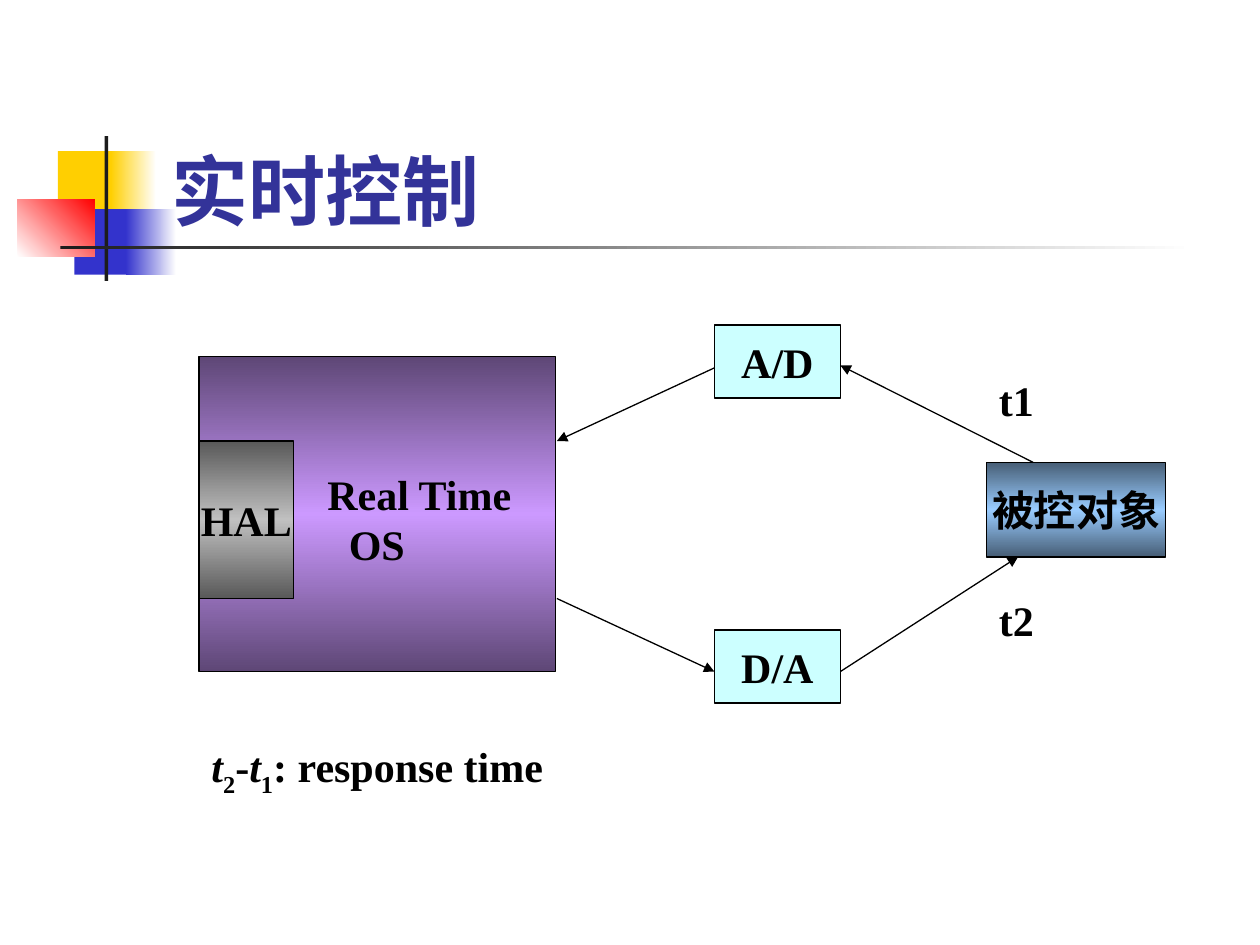
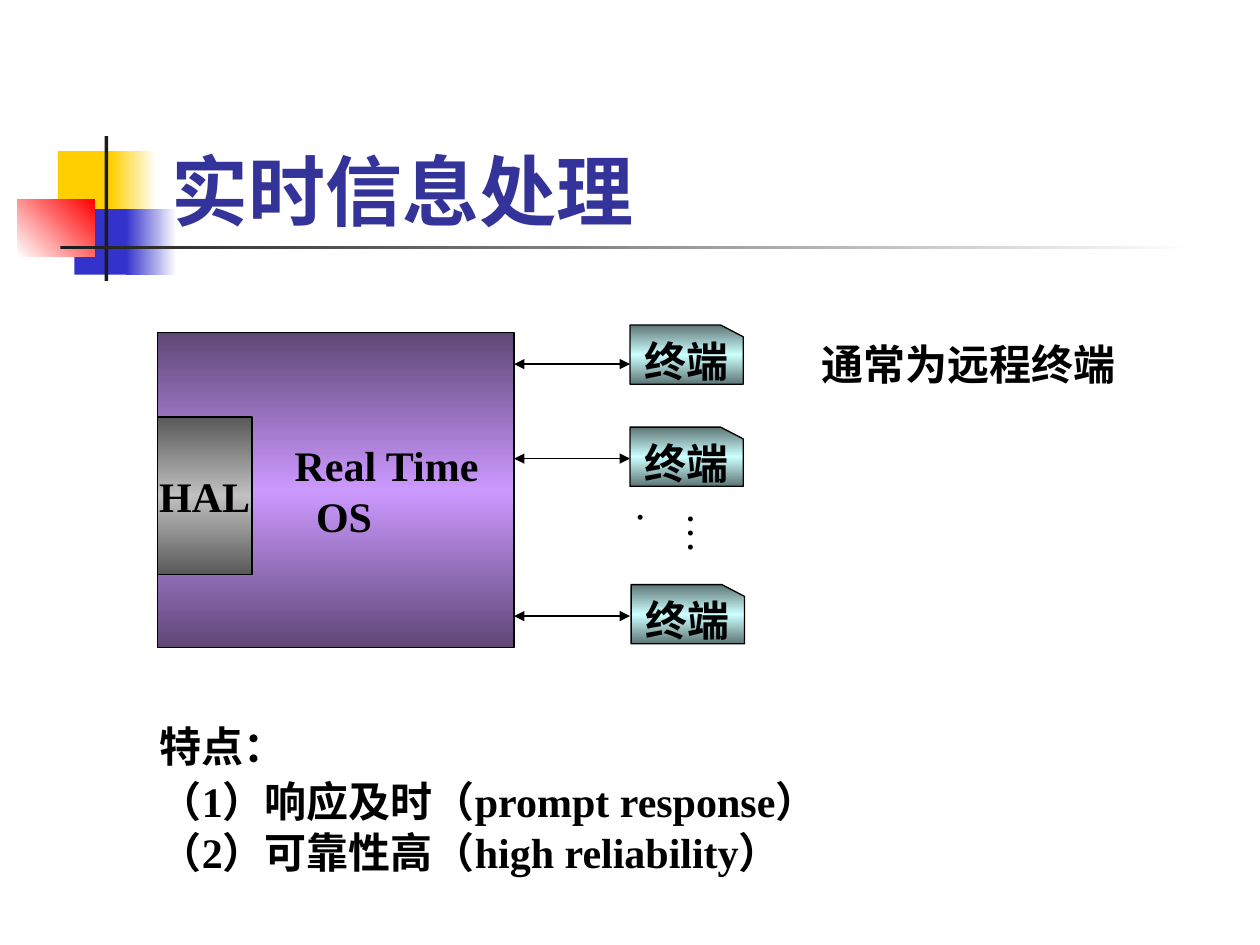
import pptx
import pptx.util
from pptx.dml.color import RGBColor
from pptx.enum.dml import MSO_FILL
from pptx.enum.shapes import MSO_CONNECTOR, MSO_SHAPE
from pptx.enum.text import MSO_ANCHOR, MSO_AUTO_SIZE, PP_ALIGN
from pptx.oxml.ns import qn
from pptx.util import Inches
from lxml import etree

BLACK = RGBColor(0x00, 0x00, 0x00)
WHITE = RGBColor(0xFF, 0xFF, 0xFF)
INK = RGBColor(0x1C, 0x1C, 0x1C)
GOLD = RGBColor(0xFF, 0xCF, 0x01)
BLUE = RGBColor(0x33, 0x33, 0xCC)
RED = RGBColor(0xFF, 0x00, 0x00)
NAVY = RGBColor(0x33, 0x33, 0x99)
CYAN = RGBColor(0xCC, 0xFF, 0xFF)
TEAL = RGBColor(0x5E, 0x76, 0x76)
PLUM = RGBColor(0x5E, 0x47, 0x76)
LILAC = RGBColor(0xCC, 0x99, 0xFF)
GREY = RGBColor(0x59, 0x59, 0x59)
SILVER = RGBColor(0xC0, 0xC0, 0xC0)
SLATE = RGBColor(0x47, 0x5E, 0x76)
SKY = RGBColor(0x99, 0xCC, 0xFF)

SERIF = "Times New Roman"
SANS = "Roboto"


def place(*sizes):
    return [Inches(size) for size in sizes]


def paint(shape, colors, angle):
    """Fill with one colour, or with evenly spaced gradient stops."""
    fill = shape.fill
    if len(colors) == 1:
        fill.solid()
        fill.fore_color.rgb = colors[0]
        return
    fill.gradient()
    fill.gradient_angle = -angle % 360
    stops = shape._element.spPr.find(".//" + qn("a:gsLst"))
    for stop in list(stops):
        stops.remove(stop)
    for i, color in enumerate(colors):
        stop = etree.SubElement(stops, qn("a:gs"))
        stop.set("pos", str(100000 * i // (len(colors) - 1)))
        etree.SubElement(stop, qn("a:srgbClr")).set("val", str(color))


def block(slide, at, colors, angle=0, kind=MSO_SHAPE.RECTANGLE):
    shape = slide.shapes.add_shape(kind, *place(*at))
    shape.shadow.inherit = False
    paint(shape, colors, angle)
    shape.line.fill.background()
    return shape


def write(para, text, size=24, font=SERIF, color=BLACK, bold=True,
          italic=False, sub=False):
    run = para.add_run()
    run.text = text
    run.font.size = pptx.util.Pt(size)
    run.font.name = font
    run.font.color.rgb = color
    run.font.bold = bold
    run.font.italic = italic
    if sub:
        run.font._element.set("baseline", "-25000")


def node(slide, at, colors, label="", kind=MSO_SHAPE.RECTANGLE):
    """Outlined box of the diagram with a centred label."""
    shape = block(slide, at, colors, 90, kind)
    shape.line.color.rgb = BLACK
    shape.line.width = pptx.util.Pt(0.75)
    if label:
        frame = shape.text_frame
        frame.word_wrap = False
        frame.vertical_anchor = MSO_ANCHOR.MIDDLE
        frame.paragraphs[0].alignment = PP_ALIGN.CENTER
        write(frame.paragraphs[0], label)
    return shape


def label(slide, at, text="", **style):
    """Text box that wraps; returns its frame."""
    frame = slide.shapes.add_textbox(*place(*at)).text_frame
    frame.word_wrap = True
    if text:
        write(frame.paragraphs[0], text, **style)
    return frame


def arrow(slide, start, end, both=False):
    line = slide.shapes.add_connector(
        MSO_CONNECTOR.STRAIGHT, *place(*start, *end))
    line.line.color.rgb = BLACK
    line.line.width = pptx.util.Pt(0.75)
    stroke = line.line._get_or_add_ln()
    for tag in ("a:headEnd", "a:tailEnd") if both else ("a:tailEnd",):
        etree.SubElement(stroke, qn(tag)).set("type", "triangle")
    etree.SubElement(line._element.spPr, qn("a:effectLst"))


def start(deck, title):
    """New slide with the shared ornament and title."""
    slide = deck.slides.add_slide(deck.slide_layouts[6])
    block(slide, (0.46, 1.2, 0.48, 0.52), [GOLD])
    block(slide, (0.88, 1.2, 0.36, 0.52), [GOLD, WHITE])
    block(slide, (0.59, 1.66, 0.46, 0.52), [BLUE])
    block(slide, (1, 1.66, 0.4, 0.52), [BLUE, WHITE])
    block(slide, (0.14, 1.58, 0.61, 0.46), [WHITE, RED], 315)
    block(slide, (0.83, 1.08, 0.03, 1.15), [INK])
    block(slide, (0.48, 1.95, 9, 0.03), [INK, WHITE])
    frame = label(slide, (1.26, 0.67, 8.52, 1.25), title,
                  size=44, font=SANS, color=NAVY)
    frame.vertical_anchor = MSO_ANCHOR.BOTTOM
    return slide


def system(slide, left, top, name):
    """Real-time OS with its HAL; name is the corner of the caption."""
    node(slide, (left, top, 2.83, 2.5), [PLUM, LILAC, PLUM])
    node(slide, (left, top + 0.67, 0.75, 1.25), [GREY, SILVER, GREY], "HAL")
    frame = label(slide, (*name, 1.83, 0.9), "Real Time")
    para = frame.add_paragraph()
    para._p.get_or_add_pPr().set("marL", str(Inches(0.17)))
    write(para, "OS")


def control(deck):
    slide = start(deck, "实时控制")
    system(slide, 1.58, 2.83, (2.5, 3.67))
    node(slide, (7.83, 3.67, 1.42, 0.75), [SLATE, SKY, SLATE], "被控对象")
    for top, text in ((2.58, "A/D"), (5, "D/A")):
        node(slide, (5.67, top, 1, 0.58), [CYAN], text)
    arrow(slide, (8.2, 3.67), (6.67, 2.9))
    arrow(slide, (6.67, 5.33), (8.08, 4.42))
    arrow(slide, (5.67, 2.92), (4.42, 3.5))
    arrow(slide, (4.42, 4.75), (5.67, 5.33))
    for top, text in ((2.92, "t1"), (4.67, "t2")):
        label(slide, (7.83, top, 0.58, 0.5), text)
    para = label(slide, (1.58, 5.83, 7.92, 0.56)).paragraphs[0]
    write(para, "t", italic=True)
    write(para, "2", sub=True)
    write(para, "-")
    write(para, "t", italic=True)
    write(para, "1", sub=True)
    write(para, ": response time")


def process(deck):
    slide = start(deck, "实时信息处理")
    system(slide, 1.25, 2.64, (2.24, 3.44))
    for row in (2.89, 3.64, 4.89):
        arrow(slide, (4.08, row), (5, row), both=True)

    dots = label(slide, (5.25, 3.97, 0.6, 0.58), "….", bold=False)
    dots.margin_left = dots.margin_right = Inches(0.05)
    dots.margin_top = dots.margin_bottom = Inches(0.1)
    dots.auto_size = MSO_AUTO_SIZE.SHAPE_TO_FIT_TEXT
    dots._txBody.bodyPr.set("vert", "eaVert")

    for left, top in ((5, 2.58), (5, 3.39), (5.01, 4.64)):
        card = node(slide, (left, top, 0.9, 0.47), [TEAL, CYAN, TEAL],
                    "终端", MSO_SHAPE.FLOWCHART_CARD)
        card._element.spPr.xfrm.set("flipH", "1")

    label(slide, (6.42, 2.64, 2.75, 0.5), "通常为远程终端")
    traits = label(slide, (1.17, 5.67, 7.75, 1.32), "特点：")
    for text in ("（1）响应及时（prompt response）",
                 "（2）可靠性高（high reliability）"):
        para = traits.add_paragraph()
        para.line_spacing = 0.5
        para.space_before = pptx.util.Pt(15)
        write(para, text)


def main():
    deck = pptx.Presentation()
    deck.slide_width, deck.slide_height = place(10, 7.5)
    control(deck)
    process(deck)
    deck.save("out.pptx")


if __name__ == "__main__":
    main()
